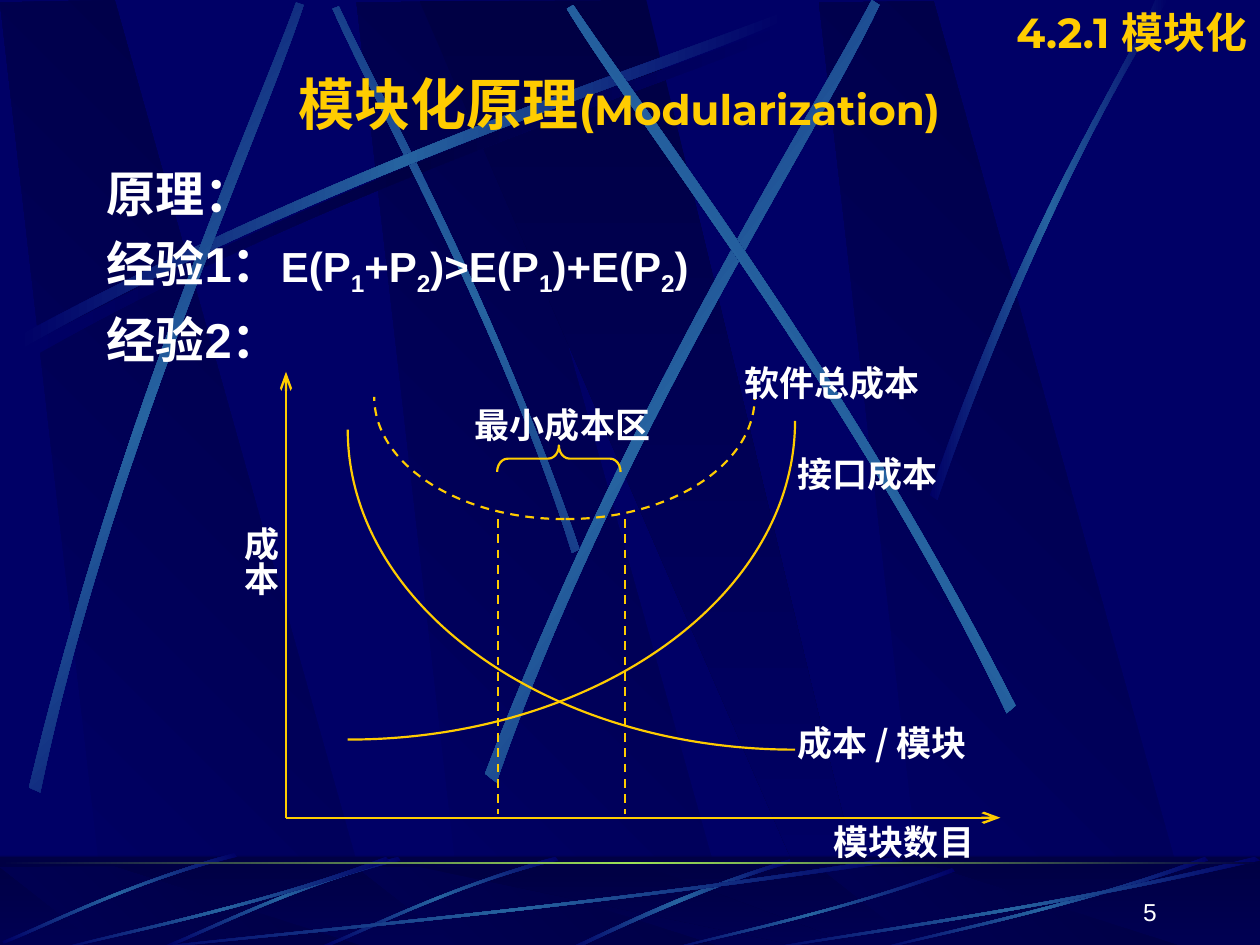
from lxml import etree
from pptx import Presentation
from pptx.dml.color import RGBColor
from pptx.enum.dml import MSO_LINE_DASH_STYLE as Dash
from pptx.enum.shapes import MSO_CONNECTOR as Conn, MSO_SHAPE as Shape
from pptx.enum.text import MSO_ANCHOR as Anchor, MSO_AUTO_SIZE as Fit, PP_ALIGN as Align
from pptx.oxml.ns import qn
from pptx.util import Inches, Pt

C = {"navy": "000066", "dark": "000044", "blue": "2663A0", "green": "9CE157",
     "gold": "FFCC00", "white": "FFFFFF"}
FADE = ["navy", "blue", "navy"]
FLOOR = 6.8

BANDS = [
    ([(3.69, 7.51), (5.85, 7.53), (3.74, 0.01), (2.83, 0.02)], ["navy", "dark"], 315),
    ([(0.86, 7.5), (3.02, 7.52), (0.91, 0), (0, 0.02)], ["navy", "dark"], 315),
    ([(7.36, 7.52), (9.52, 7.53), (7.41, 0.01), (6.5, 0.02)], ["navy", "dark"], 315),
    ([(3.33, 0.01), (6.58, 7.51), (6.94, 7.51), (5.13, 0)], ["dark", "navy"], 90),
]
SWEEP = [(0.14, 2.67), (2.78, 1.25), (5.18, 0.51), (6.2, 0.1),
         (6.23, 0.16), (5.22, 0.61), (2.48, 1.43), (0.17, 2.77)]
BEAMS = [
    ([(4.6, 4.36), (3.91, 2.34), (3.02, 0.77), (2.69, 0.05),
      (2.64, 0.07), (2.95, 0.79), (3.98, 2.58), (4.54, 4.39)], 315),
    (SWEEP, 0),
    ([(0.23, 6.25), (0.93, 3.34), (1.97, 1.05), (2.35, 0.02),
      (2.41, 0.04), (2.07, 1.08), (0.86, 3.68), (0.32, 6.29)], 48.3),
    ([(3.85, 6.14), (4.98, 3.2), (6.38, 1.02), (6.92, 0),
      (6.98, 0.04), (6.49, 1.08), (4.86, 3.55), (3.94, 6.21)], 38.4),
    ([(8.06, 5.6), (6.7, 2.93), (5.16, 0.95), (4.55, 0.04),
      (4.5, 0.07), (5.07, 1.01), (6.85, 3.25), (7.99, 5.66)], 325.2),
    ([(7.38, 3.93), (8.14, 1.73), (8.88, 0.66), (9.17, 0),
      (9.27, 0), (8.36, 1.45), (7.69, 3.22), (7.44, 3.97)], 0),
]
FLOOR_BEAM = [(6.27, 6.82), (5.37, 7.09), (4.77, 7.42), (4.48, 7.54),
              (4.53, 7.55), (4.9, 7.37), (5.71, 7), (6.28, 6.85)]
TWIG = [(1.86, 0.06), (0.99, 0.3), (0.33, 0.64), (0.02, 0.76),
        (0.03, 0.78), (0.34, 0.66), (1.1, 0.27), (1.88, 0.09)]
TWIG_OFFSETS = [(2.55, 6.74), (1.3, 6.74), (0, 6.71)]
STREAK = [(1, 0.04), (0.57, 0.57), (0.17, 0.85), (0, 1),
          (0, 0.99), (0.17, 0.81), (0.62, 0.51), (0.99, 0)]
STREAK_BOXES = [(1, 6.8, 6.17, 0.75), (0.42, 6.8, 2.67, 0.75), (5.27, 6.89, 2.31, 0.66),
                (6.92, 6.8, 2.67, 0.75), (6, 6.8, 4, 0.75)]

CURVES = [
    ([(2.76, 5.87), (4.72, 5.87), (6.31, 4.74), (6.31, 3.34)], False),
    ([(6.31, 5.95), (4.35, 5.95), (2.76, 4.81), (2.76, 3.41)], False),
    ([(4.49, 4.12), (5.32, 4.12), (5.99, 3.69), (5.99, 3.15)], True),
    ([(4.48, 4.12), (3.65, 4.12), (2.97, 3.69), (2.97, 3.15)], True),
]
ORIGIN = (2.27, 6.49)
AXIS_ENDS = [(2.27, 2.95), (7.94, 6.49)]
ZONE_EDGES = [3.95, 4.96]
LABELS = [
    ("成本 / 模块", (6.23, 5.68, 1.84, 0.59), "Noto Sans CJK SC", Align.JUSTIFY, 1),
    ("最小成本区", (3.61, 3.09, 1.71, 0.59), "Times New Roman", Align.CENTER, 1.2),
    ("接口成本", (6.23, 3.54, 1.44, 0.59), "Times New Roman", Align.JUSTIFY, 1),
    ("软件总成本", (5.81, 2.75, 1.71, 0.59), "Times New Roman", Align.JUSTIFY, 1.2),
    ("模块数目", (6.52, 6.46, 1.44, 0.59), "Times New Roman", Align.JUSTIFY, 1),
]
FORMULA = ["E(P", "1", "+P", "2", ")>E(P", "1", ")+E(P", "2", ")"]
PRINCIPLES = [
    (0, [("原理：", 28, 0)]),
    (6, [("经验1：", 28, 0)] + [(t, 24, -25000 * (i % 2)) for i, t in enumerate(FORMULA)]),
    (7, [("经验2：", 28, 0)]),
]


def rgb(name):
    return RGBColor.from_string(C[name])


def gradient(sp, names, angle):
    sp.shadow.inherit = False
    sp.line.fill.background()
    sp.fill.gradient()
    grad = sp._element.spPr.find(qn("a:gradFill"))
    for child in list(grad):
        grad.remove(child)
    stops = etree.SubElement(grad, qn("a:gsLst"))
    for i, name in enumerate(names):
        stop = etree.SubElement(stops, qn("a:gs"), pos=str(100000 * i // (len(names) - 1)))
        etree.SubElement(stop, qn("a:srgbClr"), val=C[name])
    etree.SubElement(grad, qn("a:lin"), ang=str(round(angle * 60000)), scaled="0")


def outline(parent, points, close=True):
    pts = [(Inches(x), Inches(y)) for x, y in points]
    builder = parent.shapes.build_freeform(*pts[0])
    builder.add_line_segments(pts[1:], close=close)
    return builder.convert_to_shape()


def curved(parent, points, close=True):
    sp = outline(parent, points, close)
    segments = list(sp._element.iter(qn("a:lnTo")))
    for start in range(0, len(segments), 4):
        first, *rest = segments[start:start + 3]
        cubic = etree.Element(qn("a:cubicBezTo"))
        first.addprevious(cubic)
        for segment in (first, *rest):
            cubic.append(segment[0])
            segment.getparent().remove(segment)
    return sp


def beam(parent, points, angle=0, names=FADE):
    gradient(curved(parent, points), names, angle)


def bands(parent, top=0, scale=1):
    for points, names, angle in BANDS:
        gradient(outline(parent, [(x, top + y * scale) for x, y in points]), names, angle)


def rect(parent, *box):
    return parent.shapes.add_shape(Shape.RECTANGLE, *map(Inches, box))


def stroke(sp, dashed=False):
    sp.line.color.rgb = rgb("gold")
    sp.line.width = Pt(1.25)
    if dashed:
        sp.line.dash_style = Dash.DASH


def line(parent, start, end, dashed=False, arrow=False):
    sp = parent.shapes.add_connector(Conn.STRAIGHT, *map(Inches, (*start, *end)))
    stroke(sp, dashed)
    if arrow:
        etree.SubElement(sp.line._get_or_add_ln(), qn("a:tailEnd"), type="arrow", w="med", len="lg")
    etree.SubElement(sp._element.spPr, qn("a:effectLst"))


def add_run(p, text, size, font, color="white", bold=True):
    r = p.add_run()
    r.text = text
    for key, value in {"size": Pt(size), "name": font, "bold": bold}.items():
        setattr(r.font, key, value)
    r.font.color.rgb = rgb(color)
    return r


def textbox(parent, box, align=Align.LEFT, anchor=Anchor.TOP):
    tf = parent.shapes.add_textbox(*map(Inches, box)).text_frame
    for key, value in {"word_wrap": True, "auto_size": Fit.NONE, "vertical_anchor": anchor}.items():
        setattr(tf, key, value)
    tf.paragraphs[0].alignment = align
    return tf


def draw_backdrop(g):
    bands(g)
    beam(g, [(x + 0.06, y + 0.08) for x, y in SWEEP], 0, ["navy", "dark", "navy"])
    for points, angle in BEAMS:
        beam(g, points, angle)
    gradient(rect(g, 0, FLOOR, 10, 0.75), ["dark", "navy"], 90)
    bands(g, 6.88, 0.09)
    veil = rect(g, 0, 6.79, 10, 0.75)
    veil.shadow.inherit = False
    veil.line.fill.background()
    veil.fill.solid()
    veil.fill.fore_color.rgb = rgb("dark")
    etree.SubElement(veil._element.spPr.find(".//" + qn("a:srgbClr")), qn("a:alpha"), val="50000")
    beam(g, FLOOR_BEAM)
    for dx, dy in TWIG_OFFSETS:
        beam(g, [(x + dx, y + dy) for x, y in TWIG], 315)
    for left, top, w, h in STREAK_BOXES:
        beam(g, [(left + x * w, top + y * h) for x, y in STREAK])
    gradient(rect(g, 0, 6.84, 10, 0.02), ["dark", "green", "dark"], 0)


def draw_diagram(g):
    for end in AXIS_ENDS:
        line(g, ORIGIN, end, arrow=True)
    for points, dashed in CURVES:
        sp = curved(g, points, close=False)
        sp.shadow.inherit = False
        sp.fill.background()
        stroke(sp, dashed)
    for x in ZONE_EDGES:
        line(g, (x, 4.12), (x, 6.46), dashed=True)
    brace = g.shapes.add_shape(Shape.LEFT_BRACE, *map(Inches, (4.33, 3.15, 0.21, 0.98)))
    brace.rotation = 90
    brace.adjustments[0] = 0.4
    brace.shadow.inherit = False
    brace.fill.background()
    stroke(brace)
    for text, box, font, align, spacing in LABELS:
        p = textbox(g, box, align).paragraphs[0]
        p.line_spacing = spacing
        add_run(p, text, 20, font)


def main():
    prs = Presentation()
    prs.slide_width, prs.slide_height = Inches(10), Inches(7.5)
    s = prs.slides.add_slide(prs.slide_layouts[5])
    s.background.fill.solid()
    s.background.fill.fore_color.rgb = rgb("navy")
    backdrop = s.shapes.add_group_shape()
    draw_backdrop(backdrop)
    prs.slide_master.shapes[0]._element.addprevious(backdrop._element)
    title = s.shapes.title
    for key, value in zip(("left", "top", "width", "height"), (1.75, 0.5, 6.33, 0.63)):
        setattr(title, key, Inches(value))
    title.text_frame.vertical_anchor = Anchor.MIDDLE
    p = title.text_frame.paragraphs[0]
    p.alignment = Align.CENTER
    add_run(p, "模块化原理", 32, "Montserrat", "gold")
    add_run(p, "(Modularization)", 24, "Montserrat", "gold")
    tf = textbox(s, (0.75, 1.25, 8.5, 5.42))
    for i, (before, runs) in enumerate(PRINCIPLES):
        p = tf.add_paragraph() if i else tf.paragraphs[0]
        p.space_before = Pt(before)
        for text, size, baseline in runs:
            r = add_run(p, text, size, "Arial")
            if baseline:
                r.font._element.set("baseline", str(baseline))
    tf = textbox(s, (1.58, 4.12, 0.71, 0.97), Align.CENTER)
    tf._txBody.bodyPr.set("vert", "eaVert")
    for side, inset in {"left": 0.05, "right": 0.05, "top": 0.06, "bottom": 0.06}.items():
        setattr(tf, f"margin_{side}", Inches(inset))
    add_run(tf.paragraphs[0], "成本", 20, "Times New Roman")
    draw_diagram(s.shapes.add_group_shape())
    p = textbox(s, (7.33, 0, 2.67, 0.5), Align.RIGHT, Anchor.MIDDLE).paragraphs[0]
    add_run(p, "4.2.1 模块化", 24, "Montserrat", "gold")
    p = textbox(s, (7.2, 6.9, 2.08, 0.5), Align.RIGHT, Anchor.BOTTOM).paragraphs[0]
    add_run(p, "5", 14, "Arial", bold=False)
    prs.save("out.pptx")


if __name__ == "__main__":
    main()
